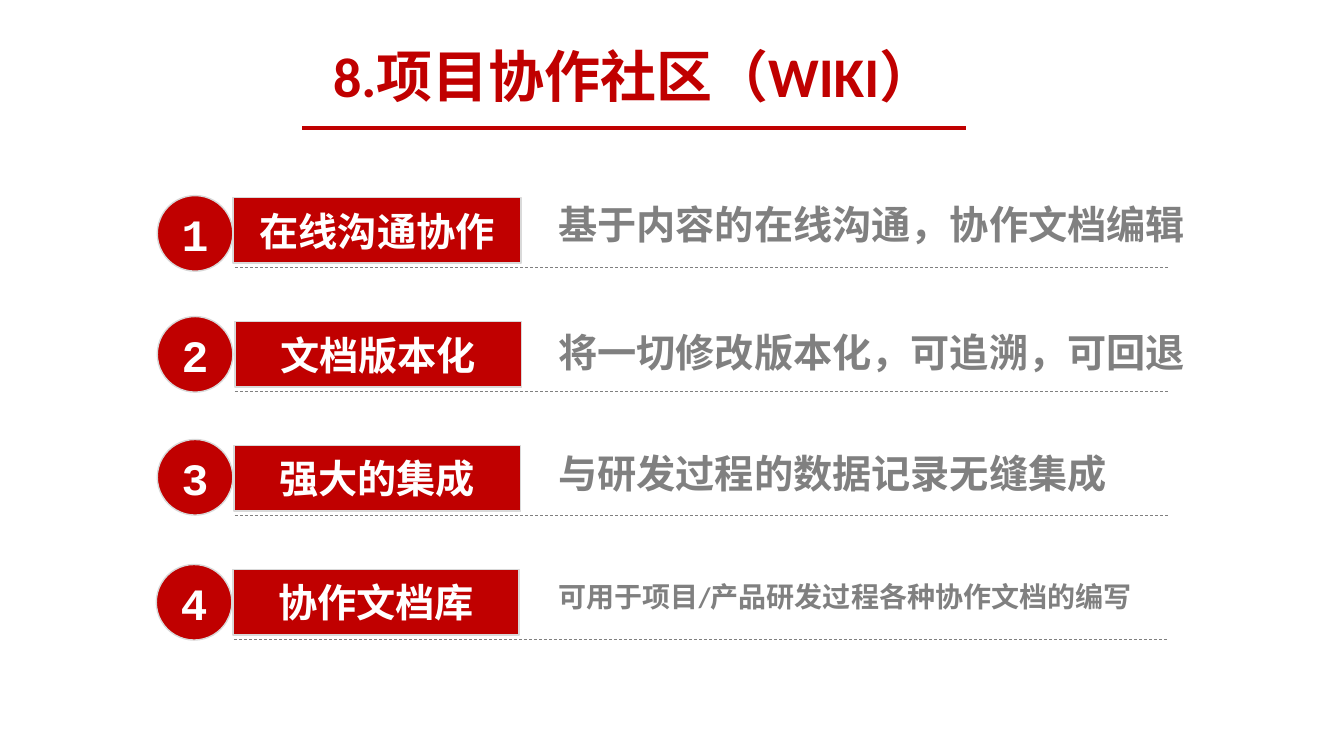
from pptx import Presentation, util as u
from pptx.dml.color import RGBColor
from pptx.enum import dml, shapes, text
from pptx.oxml.ns import qn
from lxml import etree

PX = 9144
HUES = {"red": "C00000", "gray": "808080", "pale": "D9D9D9", "white": "FFFFFF"}
LEFT, TOP, PITCH = 156, 196, 123
ROWS = [
    ("在线沟通协作", "基于内容的在线沟通，协作文档编辑", 28, 0, -2, -2, 75, 286),
    ("文档版本化", "将一切修改版本化，可追溯，可回退", 28, 0, -5, 2, 77, 284),
    ("强大的集成", "与研发过程的数据记录无缝集成", 28, 0, -6, -1, 76, 284),
    ("协作文档库", "可用于项目/产品研发过程各种协作文档的编写", 20, -1, -5, 5, 76, 284),
]


def px(*vals):
    """Turn px lengths into EMU."""
    return [u.Emu(val * PX) for val in vals]


def hue(name):
    """Look up a colour by name."""
    return RGBColor.from_string(HUES[name])


def write(shape, words, size=28, color="white", font="Calibri",
          align=text.PP_ALIGN.CENTER, anchor=text.MSO_ANCHOR.MIDDLE):
    """Put one bold line of text in a shape."""
    frame = shape.text_frame
    frame.word_wrap = True
    frame.vertical_anchor = anchor
    para = frame.paragraphs[0]
    para.alignment = align
    run = para.add_run()
    run.text = words
    run.font.size = u.Pt(size)
    run.font.bold = True
    run.font.name = font
    run.font.color.rgb = hue(color)


def badge(slide, kind, box, words, **form):
    """Draw a red shape with a pale edge and a label."""
    shape = slide.shapes.add_shape(kind, *px(*box))
    shape.shadow.inherit = False
    shape.fill.solid()
    shape.fill.fore_color.rgb = hue("red")
    shape.line.color.rgb = hue("pale")
    shape.line.width = u.Pt(1)
    write(shape, words, **form)


def rule(slide, x, y, wide, color, weight, dash=None):
    """Draw a level line."""
    line = slide.shapes.add_connector(
        shapes.MSO_CONNECTOR.STRAIGHT, *px(x, y, x + wide, y))
    line.line.color.rgb = hue(color)
    line.line.width = u.Pt(weight)
    if dash:
        line.line.dash_style = dash
    etree.SubElement(line._element.spPr, qn("a:effectLst"))


def title(slide, x, y, wide, high):
    """Draw the heading and the line below it."""
    box = slide.shapes.add_textbox(*px(x, y, wide, high))
    write(box, "8.项目协作社区（WIKI）", size=40, color="red",
          anchor=text.MSO_ANCHOR.TOP)
    rule(slide, x + 96, y + 91, 658, "red", 3)


def item(slide, x, y, num, row):
    """Draw one numbered row with its label, note and dashed line."""
    label, note, size, shift, lift, drop, inset, wide = row
    kinds = shapes.MSO_SHAPE
    bar = x + shift + inset
    box = slide.shapes.add_textbox(*px(x + 388, y + drop, 704, 57))
    write(box, note, size=size, color="gray", align=text.PP_ALIGN.LEFT,
          anchor=text.MSO_ANCHOR.TOP)
    badge(slide, kinds.RECTANGLE, (bar, y, wide, 65), label)
    rule(slide, x + shift + 77, y + 69, 925, "gray", 0.5,
         dml.MSO_LINE.DASH)
    badge(slide, kinds.OVAL, (x + shift, y + lift, 75, 75), str(num),
          size=32, font="Courier New")


def main():
    """Build the slide and save it."""
    deck = Presentation()
    deck.slide_width, deck.slide_height = px(1333, 750)
    slide = deck.slides.add_slide(deck.slide_layouts[6])
    title(slide, 204, 36, 850, 92)
    for step, row in enumerate(ROWS):
        item(slide, LEFT, TOP + step * PITCH, step + 1, row)
    deck.save("out.pptx")


if __name__ == "__main__":
    main()
